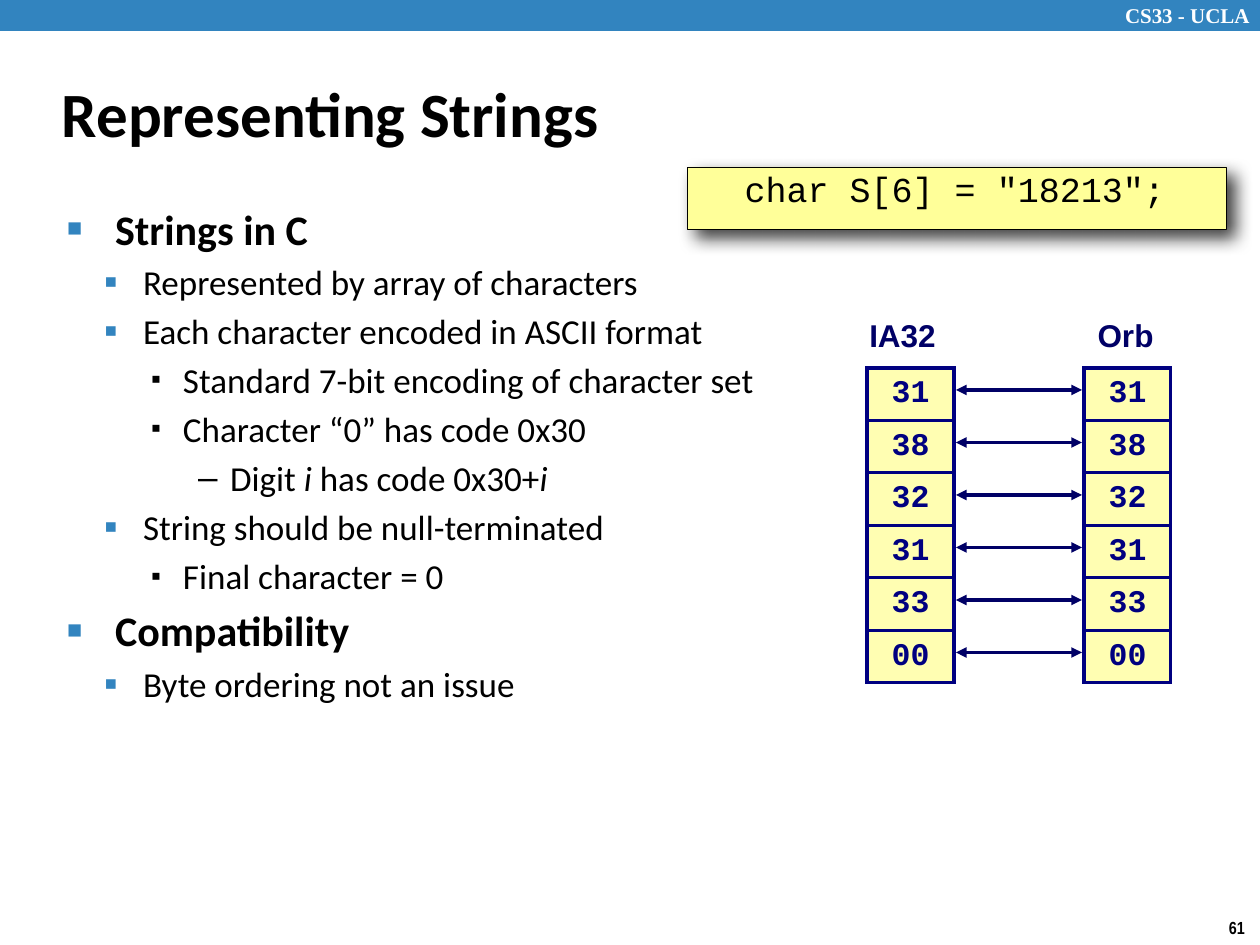
from lxml import etree
from pptx import Presentation
from pptx import util as u
from pptx.dml.color import RGBColor
from pptx.enum import shapes, text
from pptx.oxml.ns import qn

# Theme: colours, then (font, size, bold, colour) per kind of text
THEME = {
    "blue": "3284BF", "navy": "000080", "ink": "000066", "black": "000000",
    "code": "FFFF99", "cell": "FFFEB2",
    "text": {
        "course": ("Times New Roman", 12, True, "FFFFFF"),
        "number": ("Arial Narrow", 10, True, "000000"),
        "title": ("Calibri", 36, True, "000000"),
        "head": ("Calibri", 24, True, "000000"),
        "body": ("Calibri", 20, False, "000000"),
        "source": ("Courier New", 20, False, "000000"),
        "label": ("Arial", 18, True, "000066"),
        "byte": ("Courier New", 18, True, "000080"),
    },
}

# Content
COURSE, NUMBER = "CS33 - UCLA", "61"
TITLE = "Representing Strings"
SOURCE = 'char S[6] = "18213";'
OUTLINE = [  # level, runs; every second run is italic
    (0, ["Strings in C"]),
    (1, ["Represented by array of characters"]),
    (1, ["Each character encoded in ASCII format"]),
    (2, ["Standard 7-bit encoding of character set"]),
    (2, ["Character “0” has code 0x30"]),
    (3, ["Digit ", "i", " has code 0x30+", "i"]),
    (1, ["String should be null-terminated"]),
    (2, ["Final character = 0"]),
    (0, ["Compatibility"]),
    (1, ["Byte ordering not an issue"]),
]
# Per level: left margin and hang in px, bullet, its colour and size, text kind
LEVELS = [
    (48, 48, "■", THEME["blue"], 60, "head"),
    (76, 39, "▪", THEME["blue"], 110, "body"),
    (116, 32, "▪", THEME["black"], 80, "body"),
    (163, 32, "–", THEME["black"], 100, "body"),
]
BYTES = ["31", "38", "32", "31", "33", "00"]
STACKS = [("IA32", 852, 867), ("Orb", 1075, 1084)]  # name, label left, table left
LABEL = 106  # label width
TOP, WIDE, TALL = 368, 87, 315  # byte tables
ARROW = (956, 1082, 390)  # left, right, first y


def px(n):
    return u.Emu(round(n * 914400 / 126))


def rgb(code):
    return RGBColor.from_string(code)


def put(obj, vals):
    for key, val in vals.items():
        setattr(obj, key, val)


def add(node, tag, **attrs):
    return etree.SubElement(node, qn(tag), attrs)


def pads(*sizes):
    sides = ("margin_left", "margin_top", "margin_right", "margin_bottom")
    return dict(zip(sides, map(px, sizes)))


def style(font, kind):
    name, size, bold, color = THEME["text"][kind]
    put(font, {"name": name, "size": u.Pt(size), "bold": bold})
    font.color.rgb = rgb(color)


def say(par, words, kind, **vals):
    put(par, vals)
    run = par.add_run()
    run.text = words
    style(run.font, kind)
    return run


def box(slide, area, pad=(13, 6, 13, 6), **vals):
    frame = slide.shapes.add_textbox(*map(px, area)).text_frame
    put(frame, {**pads(*pad), "word_wrap": False, **vals})
    return frame


def block(slide, area, fill):
    shape = slide.shapes.add_shape(shapes.MSO_SHAPE.RECTANGLE, *map(px, area))
    shape.shadow.inherit = False
    shape.fill.solid()
    shape.fill.fore_color.rgb = rgb(fill)
    shape.line.fill.background()
    return shape


def code(slide):
    shape = block(slide, (688, 167, 539, 63), THEME["code"])
    shape.line.color.rgb = rgb(THEME["black"])
    shape.line.width = u.Pt(0.5)
    effects = shape._element.spPr.find(qn("a:effectLst"))
    shade = add(effects, "a:outerShdw", blurRad=str(u.Pt(10)), dist=str(u.Pt(6)),
                dir="2700000", algn="tl", rotWithShape="0")
    add(add(shade, "a:srgbClr", val=THEME["black"]), "a:alpha", val="75000")
    frame = shape.text_frame
    put(frame, {**pads(4, 4, 9, 4), "vertical_anchor": text.MSO_ANCHOR.TOP})
    say(frame.paragraphs[0], SOURCE, "source",
        alignment=text.PP_ALIGN.CENTER, line_spacing=0.95)


def outline(slide):
    frame = box(slide, (54, 197, 1089, 685), word_wrap=True)
    for i, (level, runs) in enumerate(OUTLINE):
        par = frame.add_paragraph() if i else frame.paragraphs[0]
        left, hang, mark, color, size, kind = LEVELS[level]
        par.level = level
        if i:
            par.space_before = u.Pt(THEME["text"][kind][1] * 0.2)
        props = par._p.get_or_add_pPr()
        props.set("marL", str(px(left)))
        props.set("indent", str(px(-hang)))
        add(add(props, "a:buClr"), "a:srgbClr", val=color)
        add(props, "a:buSzPct", val=str(size * 1000))
        add(props, "a:buFont", typeface="Arial")
        add(props, "a:buChar", char=mark)
        for j, words in enumerate(runs):
            say(par, words, kind).font.italic = j % 2 == 1


def arrow(slide, y):
    left, right, _ = ARROW
    line = slide.shapes.add_connector(
        shapes.MSO_CONNECTOR.STRAIGHT, px(left), px(y), px(right), px(y))
    line.line.color.rgb = rgb(THEME["ink"])
    line.line.width = u.Pt(2)
    stroke = line.line._get_or_add_ln()
    for end in ("a:headEnd", "a:tailEnd"):
        add(stroke, end, type="triangle")
    add(line._element.spPr, "a:effectLst")


def stack(slide, left):
    table = slide.shapes.add_table(
        len(BYTES), 1, px(left), px(TOP), px(WIDE), px(TALL)).table
    put(table, {"first_row": False, "horz_banding": False})
    for i, byte in enumerate(BYTES):
        cell = table.cell(i, 0)
        put(cell, {**pads(8, 5, 8, 5), "vertical_anchor": text.MSO_ANCHOR.MIDDLE})
        props = cell._tc.get_or_add_tcPr()
        for side in "LRTB":
            edge = add(props, "a:ln" + side, w=str(u.Pt(2)))
            add(add(edge, "a:solidFill"), "a:srgbClr", val=THEME["navy"])
        cell.fill.solid()
        cell.fill.fore_color.rgb = rgb(THEME["cell"])
        say(cell.text_frame.paragraphs[0], byte, "byte",
            alignment=text.PP_ALIGN.CENTER)


def main():
    deck = Presentation()
    put(deck, {"slide_width": px(1260), "slide_height": px(945)})
    slide = deck.slides.add_slide(deck.slide_layouts[6])

    # Top band and page number
    block(slide, (0, 0, 1260, 31), THEME["blue"])
    course = box(slide, (1112, -3, 148, 38), (13, 6, 0, 6))
    say(course.paragraphs[0], COURSE, "course")
    number = box(slide, (1216, 911, 44, 34), (13, 6, 0, 6))
    say(number.paragraphs[0], NUMBER, "number")

    # Code, title and outline
    code(slide)
    frame = box(slide, (49, 60, 1046, 105), word_wrap=True,
                vertical_anchor=text.MSO_ANCHOR.MIDDLE)
    say(frame.paragraphs[0], TITLE, "title")
    outline(slide)

    # Byte stacks, joined row by row
    for name, left, edge in STACKS:
        label = box(slide, (left, 308, LABEL, 53), (8, 8, 13, 8))
        say(label.paragraphs[0], name, "label", alignment=text.PP_ALIGN.CENTER)
        stack(slide, edge)
    for i in range(len(BYTES)):
        arrow(slide, ARROW[2] + i * TALL / len(BYTES))

    deck.save("out.pptx")


if __name__ == "__main__":
    main()
